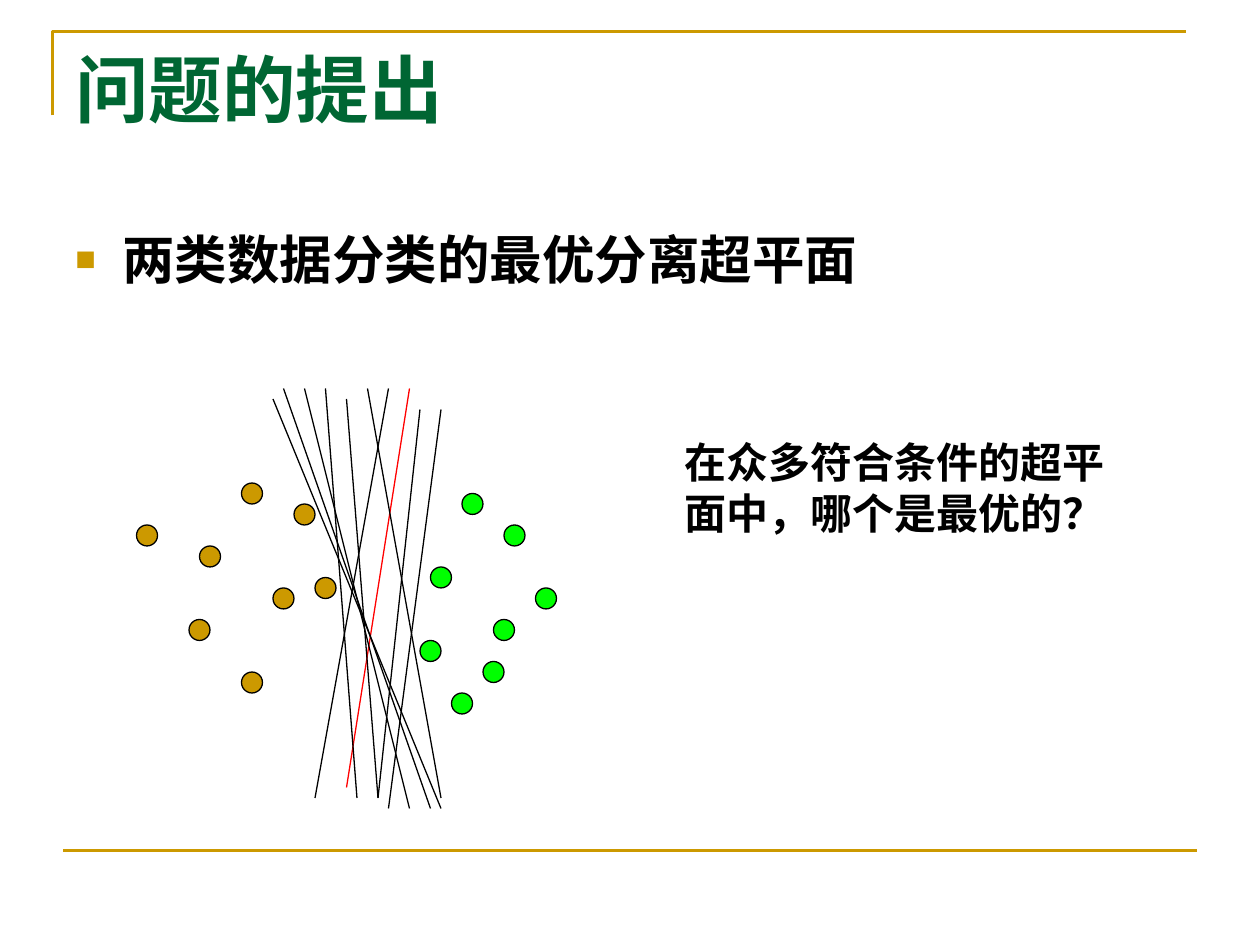
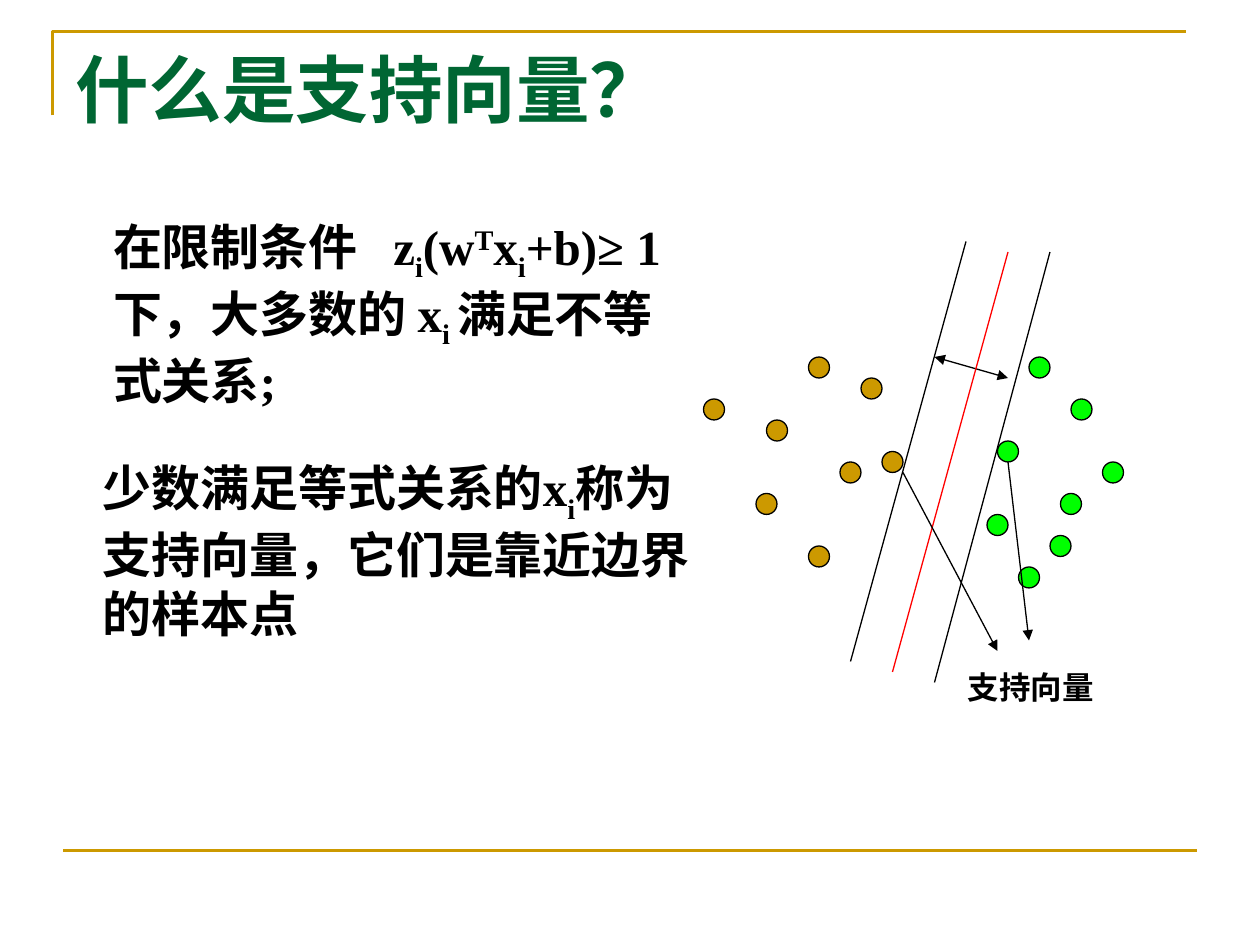
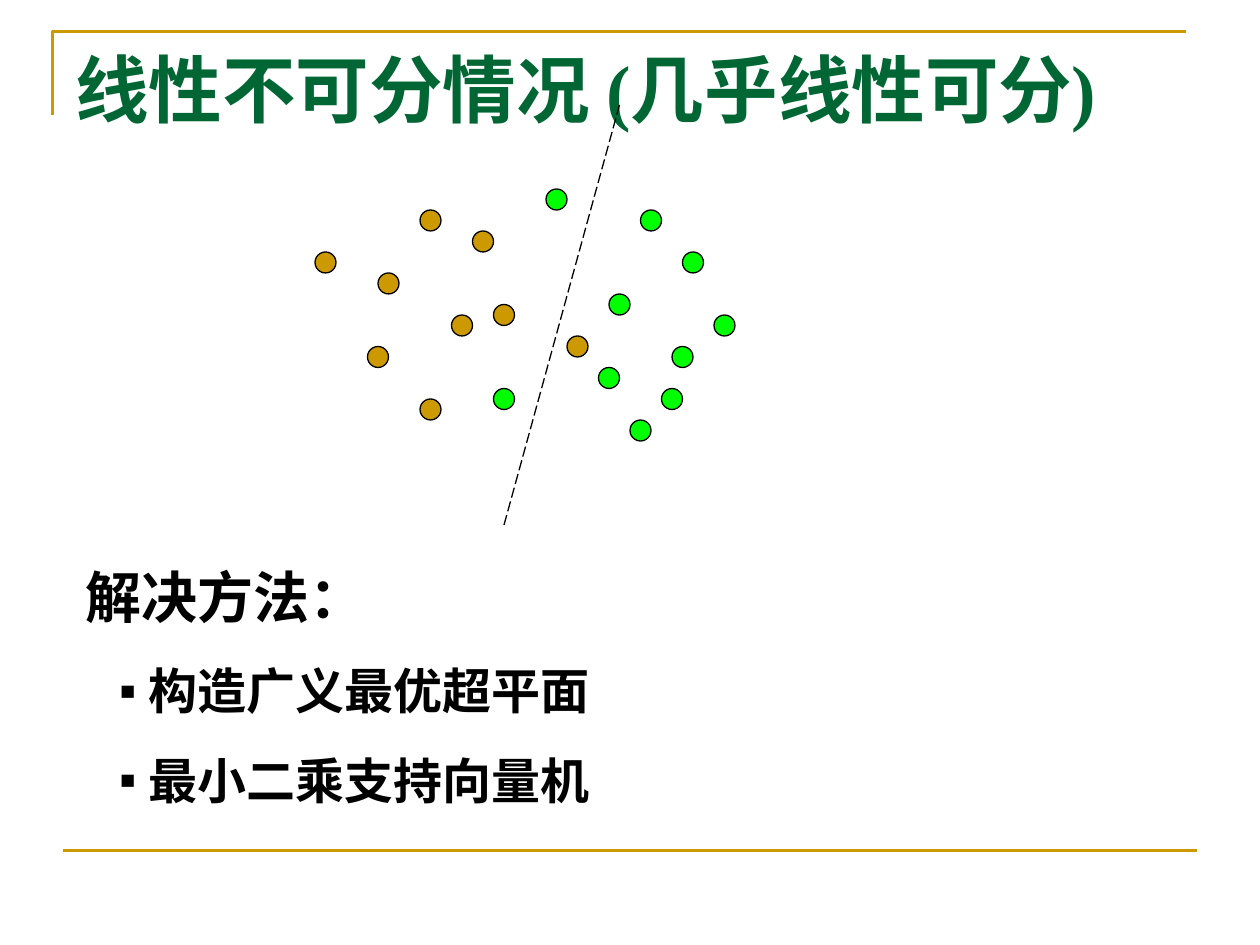
from dataclasses import dataclass
from typing import Optional

from lxml import etree
from pptx import Presentation
from pptx.dml.color import RGBColor
from pptx.enum.dml import MSO_LINE
from pptx.enum.shapes import MSO_CONNECTOR, MSO_SHAPE
from pptx.enum.text import MSO_AUTO_SIZE
from pptx.oxml.ns import qn
from pptx.util import Cm, Pt

STRAIGHT = MSO_CONNECTOR.STRAIGHT
OVAL = MSO_SHAPE.OVAL
LONG_DASH = MSO_LINE.LONG_DASH
GROW = MSO_AUTO_SIZE.SHAPE_TO_FIT_TEXT


@dataclass(frozen=True)
class Theme:
    gold: str = "CC9900"
    green: str = "00FF00"
    title: str = "006633"
    ink: str = "000000"
    best: str = "FF0000"
    serif: str = "Times New Roman"
    sans: str = "Arial"
    title_size: int = 42
    heading_size: int = 32
    bullet_size: int = 30
    body_size: int = 28
    note_size: int = 24
    label_size: int = 18
    rule_width: float = 1.5
    line_width: float = 0.75


THEME = Theme()


@dataclass(frozen=True)
class Run:
    text: str
    baseline: int = 0
    spacing: int = 0


@dataclass(frozen=True)
class Bullet:
    char: str
    color: str
    percent: int = 100


@dataclass(frozen=True)
class Para:
    runs: list[Run]
    size: int
    font: str = THEME.sans
    color: str = THEME.ink
    before: float = 0
    margin: float = 0
    indent: float = 0
    level: int = 0
    bullet: Optional[Bullet] = None


@dataclass(frozen=True)
class Line:
    x1: float
    y1: float
    x2: float
    y2: float
    color: str = THEME.ink
    width: float = THEME.line_width
    head: bool = False
    tail: bool = False
    dashed: bool = False


@dataclass(frozen=True)
class Dot:
    x: int
    y: int
    color: str


DOT_SIZE = 2
CLOUD = [
    Dot(x, y, color)
    for color, places in (
        (THEME.gold, [(0, 4), (10, 0), (15, 2), (6, 6), (13, 10), (5, 13), (17, 9), (10, 18)]),
        (THEME.green, [(28, 8), (35, 4), (34, 13), (27, 15), (38, 10), (33, 17), (30, 20)]),
    )
    for x, y in places
]


def grid(n: float) -> int:
    return Cm(n * 2.54 / 12)


def rgb(value: str) -> RGBColor:
    return RGBColor.from_string(value)


def add_child(parent, tag: str, **attrs: str):
    child = etree.SubElement(parent, qn(tag))
    for name, value in attrs.items():
        child.set(name, value)
    return child


def style_line(line, color: str, width: float) -> None:
    line.color.rgb = rgb(color)
    line.width = Pt(width)


def draw_line(shapes, item: Line) -> None:
    c = shapes.add_connector(STRAIGHT, *(grid(v) for v in (item.x1, item.y1, item.x2, item.y2)))
    style_line(c.line, item.color, item.width)
    if item.dashed:
        c.line.dash_style = LONG_DASH
    sp_pr = c._element.spPr
    for tag, wanted in (("a:headEnd", item.head), ("a:tailEnd", item.tail)):
        if wanted:
            add_child(sp_pr.find(qn("a:ln")), tag, type="triangle")
    add_child(sp_pr, "a:effectLst")


def draw_dot(shapes, dot: Dot, left: int, top: int) -> None:
    sp = shapes.add_shape(OVAL, grid(left + dot.x), grid(top + dot.y), grid(DOT_SIZE), grid(DOT_SIZE))
    sp.shadow.inherit = False
    sp.fill.solid()
    sp.fill.fore_color.rgb = rgb(dot.color)
    style_line(sp.line, THEME.ink, THEME.line_width)


def draw_diagram(s, left: int, top: int, extra_dots: list[Dot], lines: list[Line]) -> None:
    shapes = s.shapes.add_group_shape().shapes
    for dot in CLOUD + extra_dots:
        draw_dot(shapes, dot, left, top)
    for item in lines:
        draw_line(shapes, item)


def write_para(p, para: Para) -> None:
    p.level = para.level
    p.space_before = Pt(para.before)
    p_pr = p._p.get_or_add_pPr()
    p_pr.set("marL", str(Cm(para.margin)))
    p_pr.set("indent", str(Cm(para.indent)))
    if para.bullet:
        add_child(add_child(p_pr, "a:buClr"), "a:srgbClr", val=para.bullet.color)
        add_child(p_pr, "a:buSzPct", val=str(para.bullet.percent * 1000))
        add_child(p_pr, "a:buFont", typeface=THEME.sans)
        add_child(p_pr, "a:buChar", char=para.bullet.char)
    font_format = {"name": para.font, "size": Pt(para.size), "bold": True}
    for run in para.runs:
        r = p.add_run()
        r.text = run.text
        for name, value in font_format.items():
            setattr(r.font, name, value)
        r.font.color.rgb = rgb(para.color)
        r_pr = r._r.get_or_add_rPr()
        if run.baseline:
            r_pr.set("baseline", str(run.baseline * 1000))
        if run.spacing:
            r_pr.set("spc", str(run.spacing * 100))


def draw_text(s, left: float, top: float, width: float, height: float, paras: list[Para]) -> None:
    tf = s.shapes.add_textbox(grid(left), grid(top), grid(width), grid(height)).text_frame
    frame_format = {
        "word_wrap": True,
        "auto_size": GROW,
        "margin_left": Cm(0.25),
        "margin_right": Cm(0.25),
        "margin_top": Cm(0.13),
        "margin_bottom": Cm(0.13),
    }
    for name, value in frame_format.items():
        setattr(tf, name, value)
    for i, para in enumerate(paras):
        write_para(tf.add_paragraph() if i else tf.paragraphs[0], para)


def add_slide(prs, title: str):
    s = prs.slides.add_slide(prs.slide_layouts[6])
    builder = s.shapes.build_freeform(grid(5), grid(11))
    builder.add_line_segments([(grid(5), grid(3)), (grid(113), grid(3))], close=False)
    corner = builder.convert_to_shape()
    corner.shadow.inherit = False
    corner.fill.background()
    style_line(corner.line, THEME.gold, THEME.rule_width)
    draw_line(s.shapes, Line(6, 81, 114, 81, THEME.gold, THEME.rule_width))
    draw_text(s, 6, 3.6, 108, 9.6, [Para([Run(title)], THEME.title_size, THEME.serif, THEME.title)])
    return s


def build_question(prs) -> None:
    s = add_slide(prs, "问题的提出")
    draw_text(s, 6, 21, 108, 7.2, [
        Para([Run("两类数据分类的最优分离超平面")], THEME.bullet_size, before=7.5,
             margin=0.95, indent=-0.95, bullet=Bullet("■", THEME.gold, 65)),
    ])
    candidates = [
        (26, 38, 42, 77), (27, 37, 41, 77), (29, 37, 39, 77),
        (31, 37, 34, 76), (42, 39, 37, 77), (35, 37, 42, 76),
        (33, 38, 36, 76), (37, 37, 30, 76), (40, 39, 36, 76),
    ]
    lines = [Line(39, 37, 33, 75, THEME.best)] + [Line(*ends) for ends in candidates]
    draw_diagram(s, 13, 46, [Dot(31, 1, THEME.green)], lines)
    draw_text(s, 64, 41, 45, 10.8, [
        Para([Run("在众多符合条件的超平面中，哪个是最优的？")], THEME.note_size, before=15),
    ])


def build_support_vectors(prs) -> None:
    s = add_slide(prs, "什么是支持向量？")
    body_format = {"size": THEME.body_size, "font": THEME.serif, "before": 7, "margin": 0.97}
    sub, sup = -25, 30
    draw_text(s, 5, 20, 63, 19.6, [
        Para([
            Run("在限制条件"), Run(" ", spacing=14), Run("z"), Run("i", sub), Run("(w"),
            Run("T", sup), Run("x"), Run("i", sub), Run("+b)≥ 1下，大多数的 x"),
            Run("i ", sub), Run("满足不等式关系;"),
        ], **body_format),
    ])
    draw_diagram(s, 67, 34, [Dot(31, 0, THEME.green)], [
        Line(92, 23, 81, 63),
        Line(100, 24, 89, 65),
        Line(89, 34, 96, 36, head=True, tail=True),
        Line(85, 64, 96, 24, THEME.best),
        Line(86, 45, 95, 62, tail=True),
        Line(96, 44, 98, 61, tail=True),
    ])
    draw_text(s, 91, 63, 16, 4.8, [Para([Run("支持向量")], THEME.label_size, before=11.2)])
    draw_text(s, 4, 43, 63, 18.8, [
        Para([
            Run("少数满足等式关系的x"), Run("i", sub),
            Run("称为支持向量，它们是靠近边界的样本点"),
        ], **body_format),
    ])


def build_inseparable(prs) -> None:
    s = add_slide(prs, "线性不可分情况 (几乎线性可分)")
    extra_dots = [
        Dot(31, 0, THEME.green),
        Dot(22, -2, THEME.green),
        Dot(17, 17, THEME.green),
        Dot(24, 12, THEME.gold),
    ]
    draw_diagram(s, 30, 20, extra_dots, [Line(48, 50, 59, 10, dashed=True)])
    methods = ["构造广义最优超平面", "最小二乘支持向量机"]
    draw_text(s, 7, 53, 84, 24.7, [
        Para([Run("解决方法：")], THEME.heading_size, before=20),
        *(Para([Run(method)], THEME.body_size, before=17.5, margin=1.27, indent=-0.6,
               level=1, bullet=Bullet("▪", THEME.ink)) for method in methods),
    ])


def main() -> None:
    prs = Presentation()
    prs.slide_width = Cm(25.4)
    prs.slide_height = Cm(19.05)
    for build in (build_question, build_support_vectors, build_inseparable):
        build(prs)
    prs.save("out.pptx")


if __name__ == "__main__":
    main()
